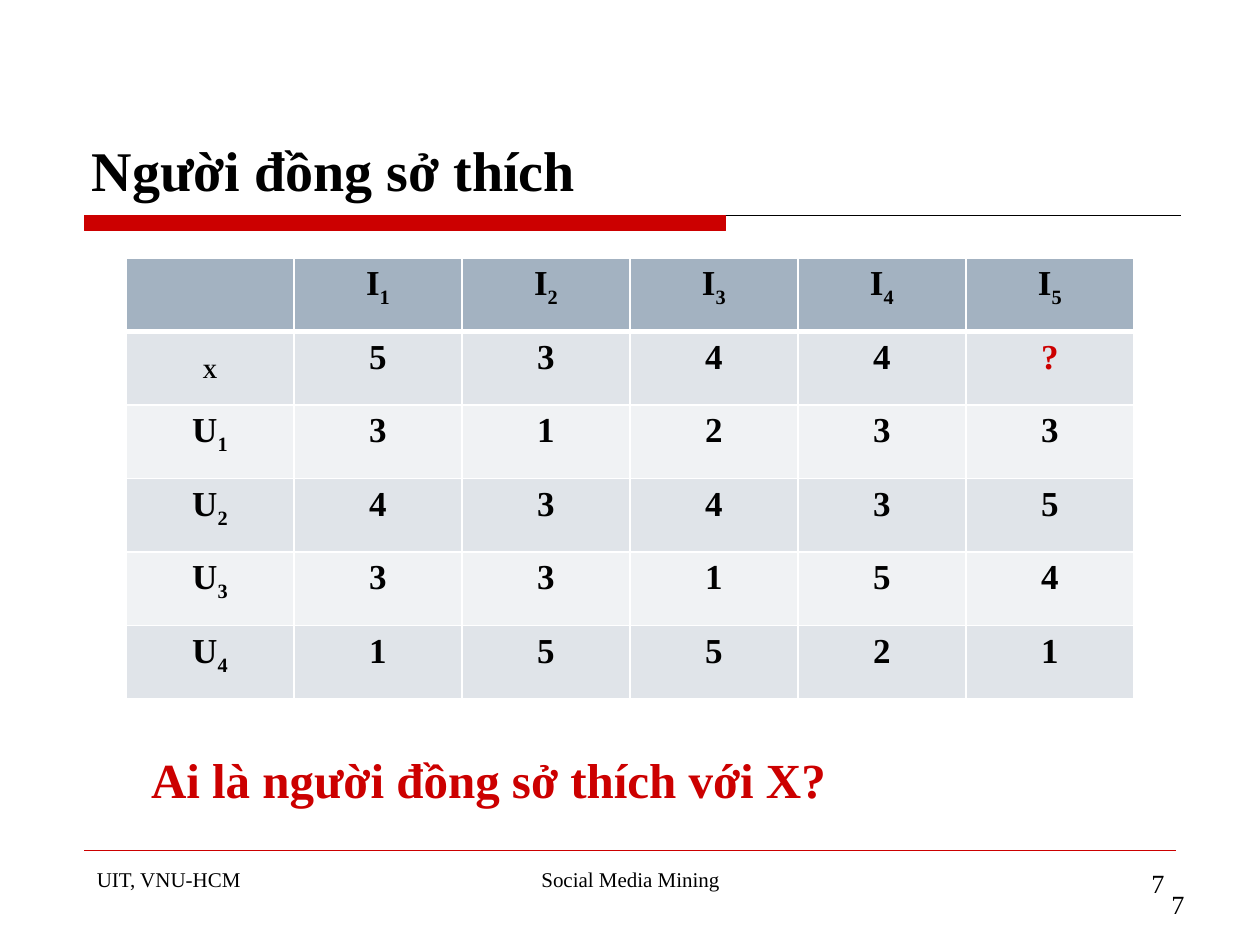
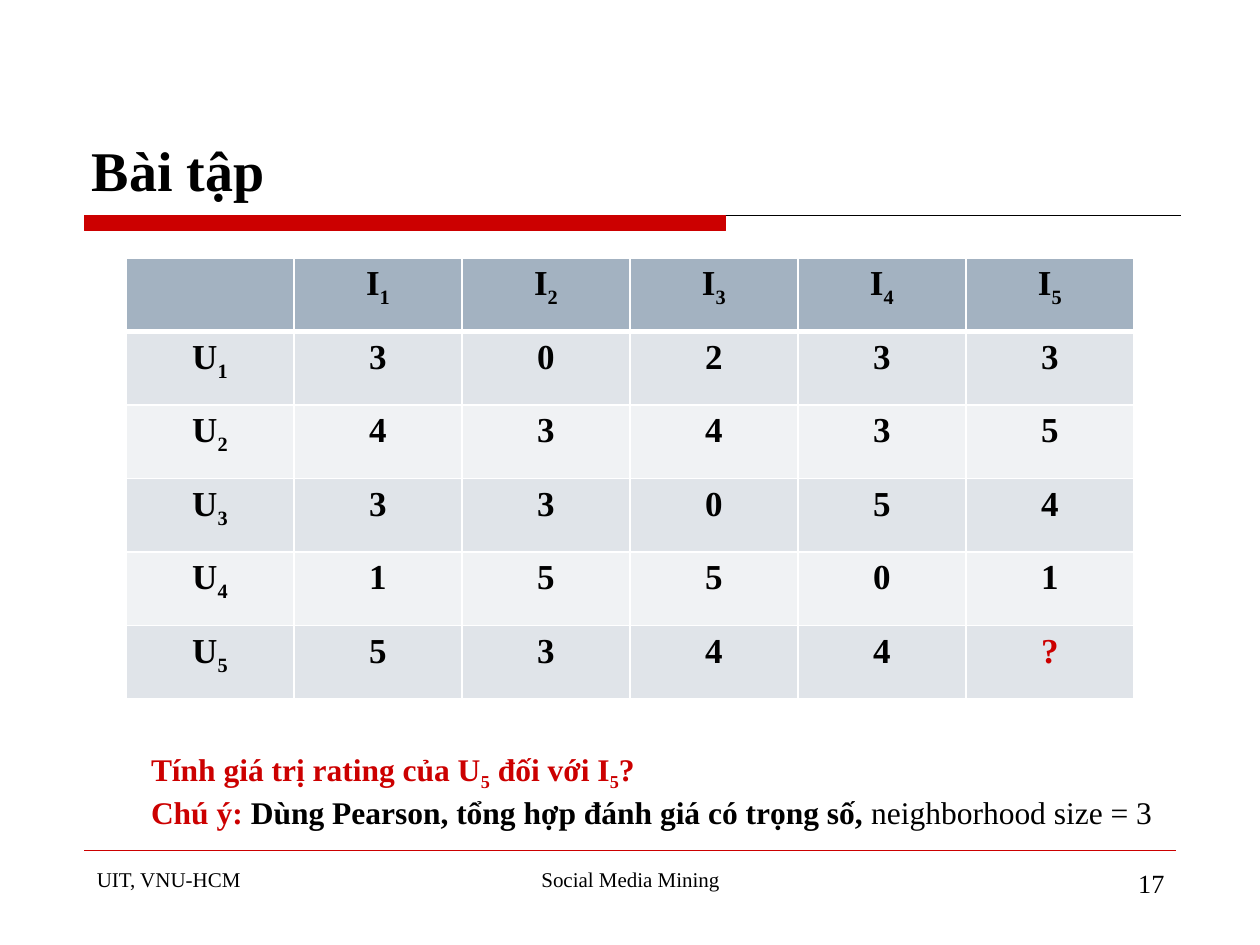
import dataclasses

import pptx
import pptx.dml.color
import pptx.enum.shapes
import pptx.enum.text
import pptx.oxml
import pptx.oxml.ns
import pptx.util
from pptx.util import Inches

FONT = "Times New Roman"
HUES = {
    "ink": "000000",
    "red": "CC0000",
    "head": "A3B2C1",
    "dark": "E0E4E9",
    "pale": "F0F2F4",
    "white": "FFFFFF",
}
ALIGN = pptx.enum.text.PP_ALIGN
ANCHOR = pptx.enum.text.MSO_ANCHOR
HEADS = ["", "I_1", "I_2", "I_3", "I_4", "I_5"]


@dataclasses.dataclass
class Span:
    text: str
    hue: str = "ink"
    bold: bool = False


@dataclasses.dataclass
class Box:
    left: float
    top: float
    width: float
    height: float


@dataclasses.dataclass
class Page:
    title: str
    rows: list[str]
    note: list[list[Span]]
    size: int
    note_box: Box
    number: str
    twice: bool = False


TITLE = Box(0.63, 0.33, 8.75, 1.33)
OWNER = Box(0.67, 6.83, 2.17, 0.52)
COURSE = Box(3.42, 6.83, 3.17, 0.52)
NUMBER = Box(7.17, 6.83, 2.17, 0.52)
SECOND = Box(7.33, 7, 2.17, 0.52)

PAGES = [
    Page(
        "Người đồng sở thích",
        ["_X 5 3 4 4 ?", "U_1 3 1 2 3 3", "U_2 4 3 4 3 5",
         "U_3 3 3 1 5 4", "U_4 1 5 5 2 1"],
        [[Span("Ai là người đồng sở thích với X?", "red", True)]],
        28, Box(1.1, 5.9, 5.62, 0.57), "7", True,
    ),
    Page(
        "Bài tập",
        ["U_1 3 0 2 3 3", "U_2 4 3 4 3 5", "U_3 3 3 0 5 4",
         "U_4 1 5 5 0 1", "U_5 5 3 4 4 ?"],
        [
            [Span("Tính giá trị rating của U_5 đối với I_5?", "red", True)],
            [
                Span("Chú ý:", "red", True),
                Span(" Dùng Pearson, tổng hợp đánh giá có trọng số, ", bold=True),
                Span("neighborhood size = 3"),
            ],
        ],
        18, Box(1.1, 5.9, 8.28, 0.71), "17",
    ),
]


def color(hue: str):
    return pptx.dml.color.RGBColor.from_string(HUES[hue])


def pieces(text: str):
    first, *rest = text.split("_")
    yield first, False
    for part in rest:
        yield part[0], True
        yield part[1:], False


def write(frame, text, *, size=12, hue="ink", bold=False, align=ALIGN.LEFT) -> None:
    lines = [[Span(text, hue, bold)]] if isinstance(text, str) else text
    for index, line in enumerate(lines):
        para = frame.add_paragraph() if index else frame.paragraphs[0]
        para.alignment = align
        for span in line:
            for part, low in pieces(span.text):
                if not part:
                    continue
                run = para.add_run()
                run.text = part
                run.font.name = FONT
                run.font.size = pptx.util.Pt(size)
                run.font.bold = span.bold
                run.font.color.rgb = color(span.hue)
                if low:
                    run.font._element.set("baseline", "-25000")


def label(slide, box: Box, text, *, anchor=ANCHOR.TOP, grow=False, **style) -> None:
    frame = slide.shapes.add_textbox(
        Inches(box.left), Inches(box.top), Inches(box.width), Inches(box.height)
    ).text_frame
    frame.word_wrap = True
    frame.vertical_anchor = anchor
    if grow:
        frame.auto_size = pptx.enum.text.MSO_AUTO_SIZE.SHAPE_TO_FIT_TEXT
    write(frame, text, **style)


def rule(slide, left: float, right: float, top: float, hue: str) -> None:
    line = slide.shapes.add_connector(
        pptx.enum.shapes.MSO_CONNECTOR.STRAIGHT,
        Inches(left), Inches(top), Inches(right), Inches(top),
    )
    line.line.color.rgb = color(hue)
    line.line.width = pptx.util.Pt(0.75)
    line._element.spPr.append(pptx.oxml.parse_xml(
        f"<a:effectLst {pptx.oxml.ns.nsdecls('a')}/>"
    ))


def band(slide) -> None:
    bar = slide.shapes.add_shape(
        pptx.enum.shapes.MSO_SHAPE.RECTANGLE,
        Inches(0.67), Inches(1.71), Inches(5.09), Inches(0.12),
    )
    bar.shadow.inherit = False
    bar.fill.solid()
    bar.fill.fore_color.rgb = color("red")
    bar.line.color.rgb = color("red")
    bar.line.width = pptx.util.Pt(0.75)


def border(cell, row: int) -> None:
    widths = {"L": 1, "R": 1, "T": 3 if row == 1 else 1, "B": 1 if row else 3}
    props = cell._tc.get_or_add_tcPr()
    for side, width in widths.items():
        props.append(pptx.oxml.parse_xml(
            f"<a:ln{side} {pptx.oxml.ns.nsdecls('a')} w=\"{pptx.util.Pt(width)}\">"
            f"<a:solidFill><a:srgbClr val=\"{HUES['white']}\"/></a:solidFill>"
            f"</a:ln{side}>"
        ))


def grid(slide, rows: list[str]) -> None:
    data = [HEADS] + [row.split() for row in rows]
    table = slide.shapes.add_table(
        len(data), len(HEADS), Inches(1), Inches(2.05), Inches(8), Inches(3.5)
    ).table
    table.first_row = table.horz_banding = False
    for r, row in enumerate(data):
        for c, text in enumerate(row):
            cell = table.cell(r, c)
            border(cell, r)
            cell.fill.solid()
            cell.fill.fore_color.rgb = color(
                "head" if r == 0 else "dark" if r % 2 else "pale"
            )
            write(cell.text_frame, text, size=20, bold=True, align=ALIGN.CENTER,
                  hue="red" if text == "?" else "ink")


def draw(deck, page: Page) -> None:
    slide = deck.slides.add_slide(deck.slide_layouts[6])
    rule(slide, 0.67, 9.37, 1.71, "ink")
    band(slide)
    rule(slide, 0.67, 9.33, 6.75, "red")
    label(slide, TITLE, page.title, size=32, bold=True,
          align=ALIGN.JUSTIFY, anchor=ANCHOR.BOTTOM)
    label(slide, OWNER, "UIT, VNU-HCM")
    label(slide, COURSE, "Social Media Mining", align=ALIGN.CENTER)
    for box in [NUMBER, SECOND] if page.twice else [NUMBER]:
        label(slide, box, page.number, size=15, align=ALIGN.RIGHT)
    label(slide, page.note_box, page.note, size=page.size, grow=True)
    grid(slide, page.rows)


def main() -> None:
    deck = pptx.Presentation()
    deck.slide_width = Inches(10)
    deck.slide_height = Inches(7.5)
    for page in PAGES:
        draw(deck, page)
    deck.save("out.pptx")


if __name__ == "__main__":
    main()
